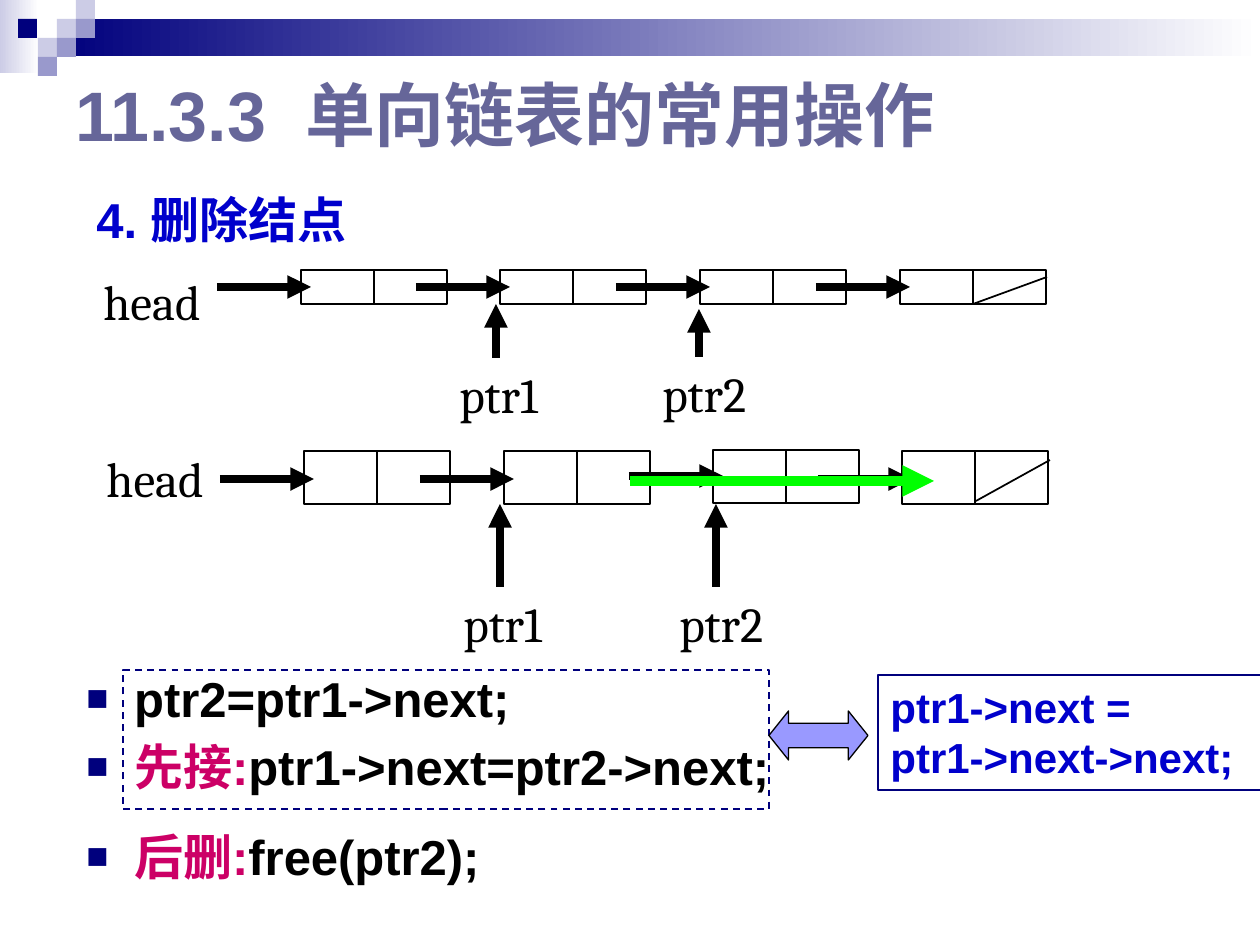
from lxml import etree
from pptx import Presentation
from pptx.dml.color import RGBColor
from pptx.enum.dml import MSO_LINE
from pptx.enum.shapes import MSO_CONNECTOR, MSO_SHAPE
from pptx.enum.text import MSO_ANCHOR, PP_ALIGN
from pptx.oxml.ns import qn
from pptx.util import Inches, Pt

SCALE = Inches(1) / 126
RECTANGLE = MSO_SHAPE.RECTANGLE
DOUBLE_ARROW = MSO_SHAPE.LEFT_RIGHT_ARROW
STRAIGHT = MSO_CONNECTOR.STRAIGHT
DASH = MSO_LINE.DASH
LEFT, JUSTIFY = PP_ALIGN.LEFT, PP_ALIGN.JUSTIFY
TOP, MIDDLE = MSO_ANCHOR.TOP, MSO_ANCHOR.MIDDLE
SANS, SERIF = "Arial", "Cambria"
CELL = 73
COLORS = {
    "navy": "00007D", "lavender": "CCCCE6", "violet": "9999CC", "white": "FFFFFF",
    "title": "666699", "blue": "0000CC", "pink": "CC0066", "black": "000000",
    "green": "00FF00", "arrow": "9999FF",
}


def emu(*pixels):
    """Turn pixel lengths into EMU."""
    return [round(pixel * SCALE) for pixel in pixels]


def color(name):
    """Look up a named colour."""
    return RGBColor.from_string(COLORS[name])


class SlideBuilder:
    """Holds the slide and draws elements in its style."""

    def __init__(self, slide):
        """Keep the slide to draw on."""
        self.slide = slide

    def shape(self, box, fill=None, line=None, width=0.75, dash=None, kind=RECTANGLE):
        """Add a preset shape; a pair of fill names makes a gradient."""
        shape = self.slide.shapes.add_shape(kind, *emu(*box))
        shape.shadow.inherit = False
        if isinstance(fill, tuple):
            shape.fill.gradient()
            shape.fill.gradient_angle = 0
            for stop, name in zip(shape.fill.gradient_stops, fill):
                stop.color.rgb = color(name)
        elif fill:
            shape.fill.solid()
            shape.fill.fore_color.rgb = color(fill)
        else:
            shape.fill.background()
        if line:
            shape.line.color.rgb = color(line)
            shape.line.width = Pt(width)
            if dash:
                shape.line.dash_style = dash
        else:
            shape.line.fill.background()
        return shape

    def line(self, start, end, name="black", width=4.5, arrow=True):
        """Add a straight line, with an arrowhead at its end if wanted."""
        connector = self.slide.shapes.add_connector(STRAIGHT, *emu(*start, *end))
        connector.line.color.rgb = color(name)
        connector.line.width = Pt(width)
        if arrow:
            outline = connector.line._get_or_add_ln()
            etree.SubElement(outline, qn("a:tailEnd"), type="triangle")
        etree.SubElement(connector._element.spPr, qn("a:effectLst"))

    def set_text(self, shape, paragraphs, size=28, font=SANS, bold=True, align=LEFT,
                 anchor=TOP, wrap=True):
        """Fill a shape with paragraphs, each a list of (text, colour) runs."""
        frame = shape.text_frame
        frame.word_wrap = wrap
        frame.vertical_anchor = anchor
        frame.text = "\n".join("" for _ in paragraphs)
        for paragraph, runs in zip(frame.paragraphs, paragraphs):
            paragraph.alignment = align
            for text, name in runs:
                run = paragraph.add_run()
                run.text = text
                run.font.size = Pt(size)
                run.font.name = font
                run.font.bold = bold
                run.font.color.rgb = color(name)
        return frame.paragraphs

    def text(self, box, paragraphs, **style):
        """Add a text box and return its paragraphs."""
        return self.set_text(self.slide.shapes.add_textbox(*emu(*box)), paragraphs, **style)

    def title(self, box, text):
        """Place and format the title placeholder."""
        title = self.slide.shapes.title
        title.left, title.top, title.width, title.height = emu(*box)
        self.set_text(title, [[(text, "title")]], size=40, anchor=MIDDLE)

    def bullets(self, box, paragraphs):
        """Add a justified list with square bullets."""
        for paragraph in self.text(box, paragraphs, align=JUSTIFY):
            paragraph.space_before = Pt(5.6)
            properties = paragraph._p.get_or_add_pPr()
            indent = Inches(0.38)
            properties.set("marL", str(indent))
            properties.set("indent", str(-indent))
            bullet_color = etree.SubElement(properties, qn("a:buClr"))
            etree.SubElement(bullet_color, qn("a:srgbClr"), val=COLORS["navy"])
            etree.SubElement(properties, qn("a:buSzPct"), val="75000")
            etree.SubElement(properties, qn("a:buFont"), typeface=SANS)
            etree.SubElement(properties, qn("a:buChar"), char="■")

    def label(self, left, top, width, text):
        """Add a plain name beside the list diagram."""
        self.text((left, top, width, 72), [[(text, "black")]], font=SERIF, bold=False,
                  wrap=False)

    def node(self, left, top, height, link_y):
        """Add a two-cell list node and the arrow that leads into it."""
        for cell_left in (left, left + CELL):
            self.shape((cell_left, top, CELL, height), line="black")
        self.line((left - 84, link_y), (left + 10, link_y))

    def pointer(self, x, bottom, tip, text):
        """Add an upward arrow with its name below."""
        self.line((x, bottom), (x, tip))
        self.label(x - 49, bottom, 115, text)


presentation = Presentation()
presentation.slide_width, presentation.slide_height = Inches(10), Inches(7.5)
slide = presentation.slides.add_slide(presentation.slide_layouts[5])
builder = SlideBuilder(slide)

# Header band and squares
builder.shape((0, 0, 39, 73), fill=("lavender", "white"))
builder.shape((57, 19, 1203, 37), fill=("navy", "white"))
for left, top, name in [
    (57, 19, "lavender"), (76, 0, "lavender"), (76, 19, "violet"), (38, 38, "lavender"),
    (18, 19, "navy"), (57, 38, "violet"), (38, 57, "violet"),
]:
    builder.shape((left, top, 19, 19), fill=name)

builder.title((63, 63, 1134, 102), "11.3.3  单向链表的常用操作")
heading = builder.text((84, 195, 1072, 665), [[("4. 删除结点", "blue")]])[0]
heading.line_spacing = 0.8
heading.space_before = Pt(5.6)

# List before the deletion
builder.label(91, 265, 132, "head")
for left in (301, 500, 700, 900):
    builder.node(left, 270, 34, 287)
builder.line((973, 304), (1047, 277), width=1, arrow=False)
builder.pointer(496, 358, 304, "ptr1")
builder.pointer(699, 357, 309, "ptr2")

# List after the deletion
builder.label(94, 442, 132, "head")
for left, top, link_y in [(304, 451, 479), (504, 451, 479), (713, 450, 476), (902, 451, 479)]:
    builder.node(left, top, 53, link_y)
builder.line((976, 501), (1050, 460), width=1, arrow=False)
for x, name in [(500, "ptr1"), (716, "ptr2")]:
    builder.pointer(x, 587, 504, name)
builder.line((630, 481), (934, 481), name="green", width=6)

# Statements and their short form
builder.bullets((74, 662, 755, 168), [
    [("ptr2=ptr1->next;", "black")],
    [("先接:", "pink"), ("ptr1->next=ptr2->next;", "black")],
])
builder.bullets((74, 820, 675, 89), [[("后删:", "pink"), ("free(ptr2);", "black")]])
short_form = builder.shape((878, 675, 407, 115), line="navy")
builder.set_text(short_form, [[("ptr1->next =", "blue")], [("ptr1->next->next;", "blue")]],
                 size=24)
builder.shape((123, 670, 646, 139), line="navy", width=1, dash=DASH)
equivalence = builder.shape((769, 711, 99, 49), fill="arrow", line="black", kind=DOUBLE_ARROW)
equivalence.adjustments[0] = 0.5
equivalence.adjustments[1] = 0.4

presentation.save("out.pptx")
